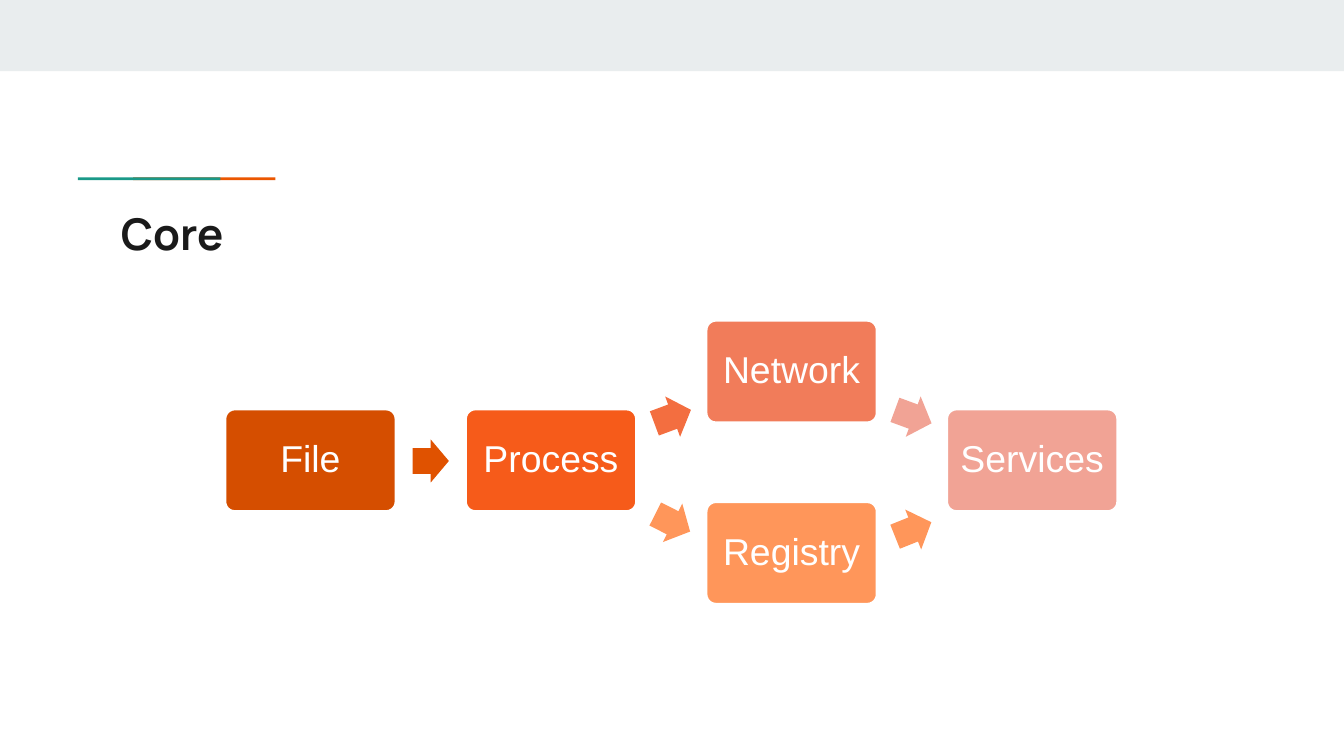
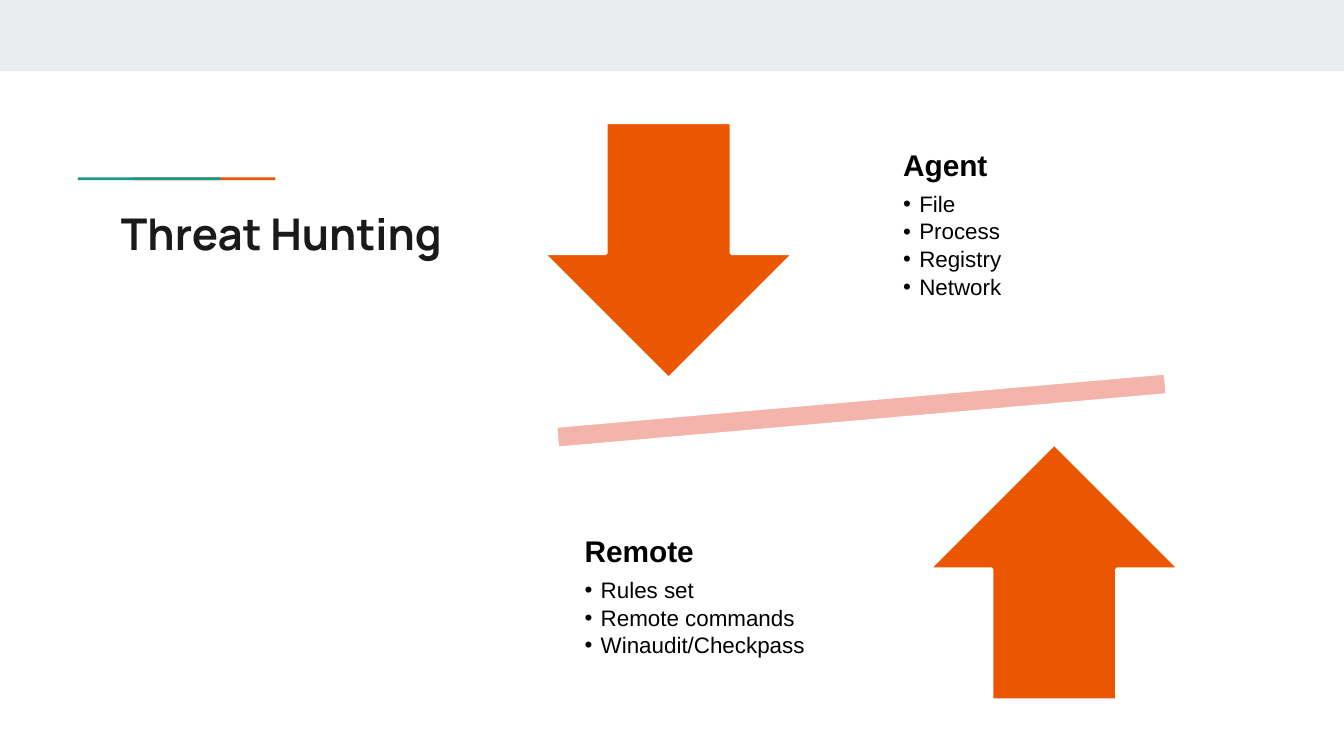
from pptx import Presentation
from pptx.dml.color import RGBColor
from pptx.enum.shapes import MSO_SHAPE
from pptx.enum.text import MSO_ANCHOR, MSO_AUTO_SIZE, PP_ALIGN
from pptx.oxml.ns import qn
from pptx.util import Inches, Pt
from lxml.etree import SubElement

WHITE = RGBColor(0xFF, 0xFF, 0xFF)
BLACK = RGBColor(0x00, 0x00, 0x00)
INK = RGBColor(0x1A, 0x1A, 0x1A)
BAND = RGBColor(0xE9, 0xED, 0xEE)
TEAL = RGBColor(0x1A, 0x99, 0x88)
ORANGE = RGBColor(0xEB, 0x56, 0x00)
RUST = RGBColor(0xD5, 0x4E, 0x00)
DARK_ORANGE = RGBColor(0xE0, 0x52, 0x00)
BRIGHT_ORANGE = RGBColor(0xF6, 0x5B, 0x1A)
CORAL = RGBColor(0xF3, 0x6E, 0x40)
SOFT_CORAL = RGBColor(0xF1, 0x7C, 0x5A)
PEACH = RGBColor(0xFF, 0x96, 0x5A)
PINK = RGBColor(0xF1, 0xA3, 0x95)
PALE_PINK = RGBColor(0xF3, 0xB4, 0xAB)

TITLE_FONT = {"name": "Manrope", "size": Pt(23.4), "bold": True}
STEP_FONT = {"name": "Arial", "size": Pt(20)}
HEADING_FONT = {"name": "Arial", "size": Pt(16), "bold": True}
ITEM_FONT = {"name": "Arial", "size": Pt(12), "bold": False}


def set_values(target, values):
    for name, value in values.items():
        setattr(target, name, value)


def set_frame(frame, inset, anchor, wrap=True):
    margins = {f"margin_{side}": Inches(inset)
               for side in ("left", "top", "right", "bottom")}
    set_values(frame, {**margins, "vertical_anchor": anchor,
                       "word_wrap": wrap, "auto_size": MSO_AUTO_SIZE.NONE})


def write(para, text, font, color, **layout):
    span = para.add_run()
    span.text = text
    set_values(span.font, font)
    span.font.color.rgb = color
    set_values(para, layout)


def add_block(page, kind, left, top, width, height, color, outlined=False, rotation=0):
    block = page.shapes.add_shape(
        kind, Inches(left), Inches(top), Inches(width), Inches(height))
    block.shadow.inherit = False
    block.rotation = rotation
    block.fill.solid()
    block.fill.fore_color.rgb = color
    if outlined:
        block.line.color.rgb = WHITE
        block.line.width = Pt(2)
    else:
        block.line.fill.background()
    return block


def add_page(deck, heading):
    """Title-only slide with the top band, two-colour rule and title."""
    page = deck.slides.add_slide(deck.slide_layouts[5])
    add_block(page, MSO_SHAPE.RECTANGLE, 0, 0, 10, 0.53, BAND)
    for left, color in ((0.99, ORANGE), (0.58, TEAL)):
        add_block(page, MSO_SHAPE.RECTANGLE, left, 1.32, 1.06, 0.02, color)
    title = page.shapes.title
    set_values(title, {"left": Inches(0.8), "top": Inches(1.44),
                       "width": Inches(8.41), "height": Inches(0.59)})
    set_frame(title.text_frame, 0.1, MSO_ANCHOR.TOP)
    write(title.text_frame.paragraphs[0], heading, TITLE_FONT, INK,
          alignment=PP_ALIGN.LEFT)
    return page


def add_flow(page, left, top):
    """Steps in four columns, with two branches in the third."""
    pitch, width, height = 1.79, 1.28, 0.77
    steps = [
        # text, column, offset from the top, fill
        ("File", 0, 0.66, RUST),
        ("Process", 1, 0.66, BRIGHT_ORANGE),
        ("Network", 2, 0, SOFT_CORAL),
        ("Registry", 2, 1.35, PEACH),
        ("Services", 3, 0.66, PINK),
    ]
    for text, column, drop, color in steps:
        step = add_block(page, MSO_SHAPE.ROUNDED_RECTANGLE, left + column * pitch,
                         top + drop, width, height, color, outlined=True)
        step.adjustments[0] = 0.1
        set_frame(step.text_frame, 0.08, MSO_ANCHOR.MIDDLE, wrap=False)
        write(step.text_frame.paragraphs[0], text, STEP_FONT, WHITE,
              alignment=PP_ALIGN.CENTER, line_spacing=0.9)

    arrows = [
        # gap after column, offset from the top, width, rotation, fill
        (0, 0.89, 0.27, 0, DARK_ORANGE),
        (1, 0.56, 0.29, 339.7, CORAL),
        (1, 1.35, 0.29, 26.7, PEACH),
        (2, 0.56, 0.29, 20.2, PINK),
        (2, 1.4, 0.29, 338.2, PEACH),
    ]
    for column, drop, length, rotation, color in arrows:
        arrow = add_block(page, MSO_SHAPE.RIGHT_ARROW, left + column * pitch + 1.4,
                          top + drop, length, 0.32, color, rotation=rotation)
        arrow.adjustments[0] = 0.6
        arrow.adjustments[1] = 0.5


def add_bullet(para):
    properties = para._p.get_or_add_pPr()
    properties.set("marL", str(Inches(0.12)))
    properties.set("indent", str(Inches(-0.12)))
    SubElement(properties, qn("a:buFont")).set("typeface", "Arial")
    SubElement(properties, qn("a:buChar")).set("char", "•")


def add_list(page, left, top, heading, items):
    """Bold heading over a bulleted list."""
    box = page.shapes.add_textbox(Inches(left), Inches(top), Inches(2), Inches(2.01))
    frame = box.text_frame
    set_frame(frame, 0.12, MSO_ANCHOR.MIDDLE)
    write(frame.paragraphs[0], heading, HEADING_FONT, BLACK,
          line_spacing=0.9, space_after=Pt(5.6))
    for item in items:
        para = frame.add_paragraph()
        write(para, item, ITEM_FONT, BLACK, level=1,
              line_spacing=0.9, space_after=Pt(1.8))
        add_bullet(para)


def add_balance(page, left, top):
    """Tilted bar between two opposing arrows, each with its list."""
    add_block(page, MSO_SHAPE.MATH_MINUS, left, top + 2.03, 6.2, 0.71,
              PALE_PINK, outlined=True, rotation=355)
    sides = [
        (MSO_SHAPE.DOWN_ARROW, (0.73, 0.24), (3.29, 0), "Agent",
         ("File", "Process", "Registry", "Network")),
        (MSO_SHAPE.UP_ARROW, (3.6, 2.63), (0.92, 2.77), "Remote",
         ("Rules set", "Remote commands", "Winaudit/Checkpass")),
    ]
    for kind, (arrow_x, arrow_y), (list_x, list_y), heading, items in sides:
        add_block(page, kind, left + arrow_x, top + arrow_y, 1.87, 1.91,
                  ORANGE, outlined=True)
        add_list(page, left + list_x, top + list_y, heading, items)


def main():
    deck = Presentation()
    # Widescreen, 16:9
    deck.slide_width = Inches(10)
    deck.slide_height = Inches(10 * 9 / 16)
    add_flow(add_page(deck, "Core"), 1.67, 2.38)
    add_balance(add_page(deck, "Threat Hunting"), 3.31, 0.67)
    deck.save("out.pptx")


if __name__ == "__main__":
    main()
